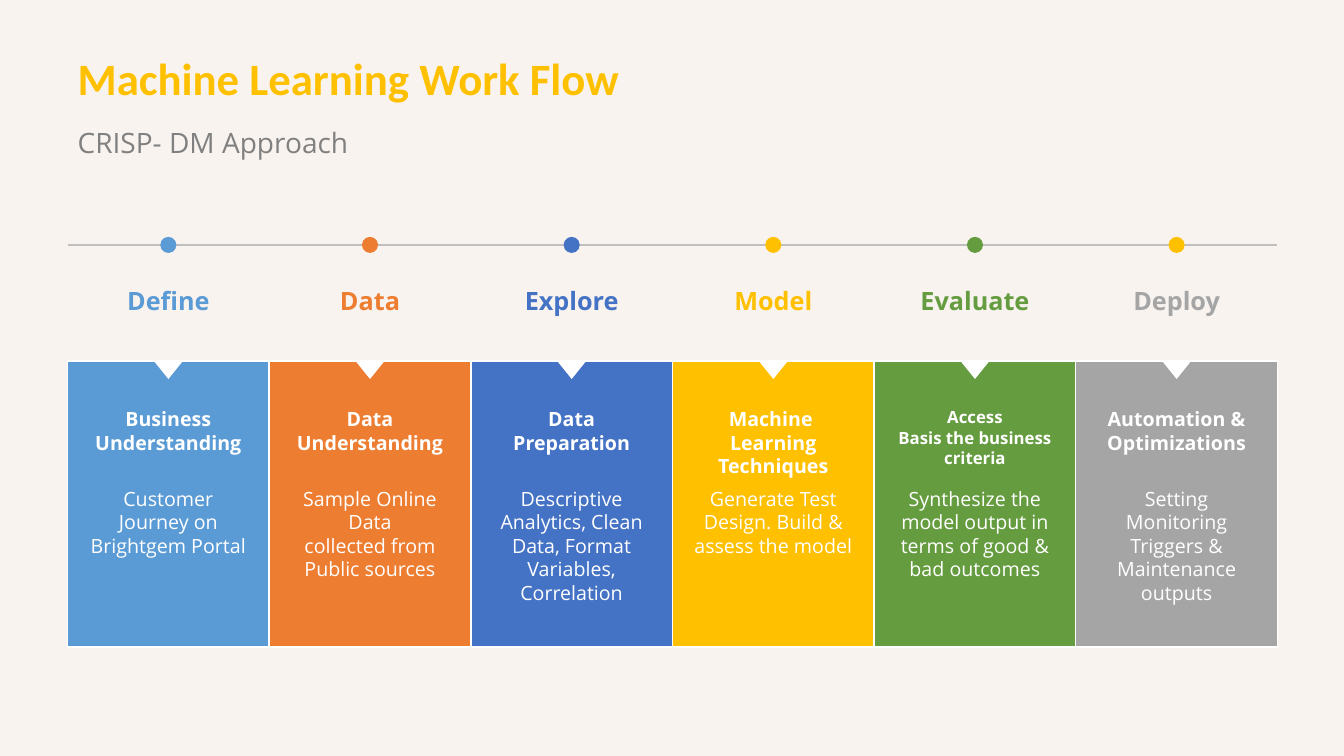
import pptx
import pptx.util
import pptx.dml.color
import pptx.enum.shapes
import pptx.enum.text
import pptx.oxml.ns
import lxml.etree

Inches = pptx.util.Inches
kinds = pptx.enum.shapes.MSO_SHAPE
align = pptx.enum.text.PP_ALIGN
anchor = pptx.enum.text.MSO_ANCHOR
qn = pptx.oxml.ns.qn

theme = {
    "head": "Calibri", "body": "Open Sans",
    "back": "F8F3EF", "white": "FFFFFF", "rule": "BFBFBF", "grey": "808080",
    "blue": "5B9BD5", "orange": "ED7D31", "navy": "4472C4",
    "gold": "FFC000", "green": "659C40", "silver": "A5A5A5",
    "title": 32, "sub": 20, "stage": 18, "text": 14, "small": 12,
}

steps = [
    ("Define", "blue", "blue", "text", ["Business", "Understanding"],
     ["Customer Journey on Brightgem Portal"]),
    ("Data", "orange", "orange", "text", ["Data", "Understanding"],
     ["Sample Online Data", "collected from Public sources"]),
    ("Explore", "navy", "navy", "text", ["Data", "Preparation"],
     ["Descriptive Analytics, Clean Data, Format Variables, Correlation"]),
    ("Model", "gold", "gold", "text", ["Machine ", "Learning Techniques"],
     ["Generate Test", "Design. Build & assess the model "]),
    ("Evaluate", "green", "green", "small", ["Access", "Basis the business criteria"],
     ["Synthesize the model output in terms of good & bad outcomes"]),
    ("Deploy", "silver", "gold", "text", ["Automation & Optimizations"],
     ["Setting Monitoring Triggers & Maintenance outputs"]),
]


def write(box, lines, size, tint, bold=False, font="body", side=align.CENTER):
    frame = box.text_frame
    frame.word_wrap = True
    for n, line in enumerate(lines):
        para = frame.paragraphs[0] if n == 0 else frame.add_paragraph()
        para.alignment = side
        run = para.add_run()
        run.text = line
        run.font.name = theme[font]
        run.font.size = pptx.util.Pt(theme[size])
        run.font.bold = bold
        run.font.color.rgb = pptx.dml.color.RGBColor.from_string(theme[tint])
    return frame


def draw(kind, left, top, width, height, tint, edge=None):
    shape = slide.shapes.add_shape(kind, Inches(left), Inches(top), Inches(width), Inches(height))
    shape.shadow.inherit = False
    shape.fill.solid()
    shape.fill.fore_color.rgb = pptx.dml.color.RGBColor.from_string(theme[tint])
    if edge:
        shape.line.color.rgb = pptx.dml.color.RGBColor.from_string(theme[edge])
        shape.line.width = pptx.util.Pt(1)
    else:
        shape.line.fill.background()
    return shape


deck = pptx.Presentation()
deck.slide_width = Inches(13.33)
deck.slide_height = Inches(7.5)
slide = deck.slides.add_slide(deck.slide_layouts[1])
slide.background.fill.solid()
slide.background.fill.fore_color.rgb = pptx.dml.color.RGBColor.from_string(theme["back"])

title = slide.shapes.title
title.left, title.top, title.width, title.height = map(Inches, (0.67, 0.41, 8.51, 0.78))
frame = write(title, ["Machine Learning Work Flow"], "title", "gold", True, "head", align.LEFT)
frame.vertical_anchor = anchor.MIDDLE
frame.paragraphs[0].line_spacing = 0.9

sub = slide.placeholders[1]
sub.left, sub.top, sub.width, sub.height = map(Inches, (0.67, 1.19, 4.33, 0.56))
frame = write(sub, ["CRISP- DM Approach"], "sub", "grey", side=align.LEFT)
frame.vertical_anchor = anchor.TOP
props = frame.paragraphs[0]._p.get_or_add_pPr()
props.set("marL", str(Inches(0.5)))
props.set("indent", str(Inches(-0.5)))
lxml.etree.SubElement(props, qn("a:buNone"))

left, pitch = 0.67, 2
axis, deep = 2.43, 3.58
rule = slide.shapes.add_connector(
    pptx.enum.shapes.MSO_CONNECTOR.STRAIGHT,
    Inches(left), Inches(axis), Inches(left + pitch * len(steps)), Inches(axis))
rule.line.color.rgb = pptx.dml.color.RGBColor.from_string(theme["rule"])
rule.line.width = pptx.util.Pt(1)
lxml.etree.SubElement(rule._element.spPr, qn("a:effectLst"))

for n, (stage, tint, dot, size, head, body) in enumerate(steps):
    x = left + n * pitch
    mid = x + pitch / 2
    draw(kinds.RECTANGLE, x, deep, pitch, 2.84, tint, "white")
    notch = draw(kinds.ISOSCELES_TRIANGLE, mid - 0.145, deep, 0.29, 0.18, "white")
    notch.rotation = 180
    draw(kinds.OVAL, mid - 0.08, axis - 0.08, 0.16, 0.16, dot)
    texts = [
        (2.78, 0.4, [stage], "stage", tint, True),
        (3.99, 0.57, head, size, "white", True),
        (4.78, 1.28, body, "text", "white", False),
    ]
    for top, high, lines, scale, ink, bold in texts:
        box = slide.shapes.add_textbox(Inches(x + 0.1), Inches(top), Inches(1.8), Inches(high))
        write(box, lines, scale, ink, bold)

deck.save("out.pptx")
